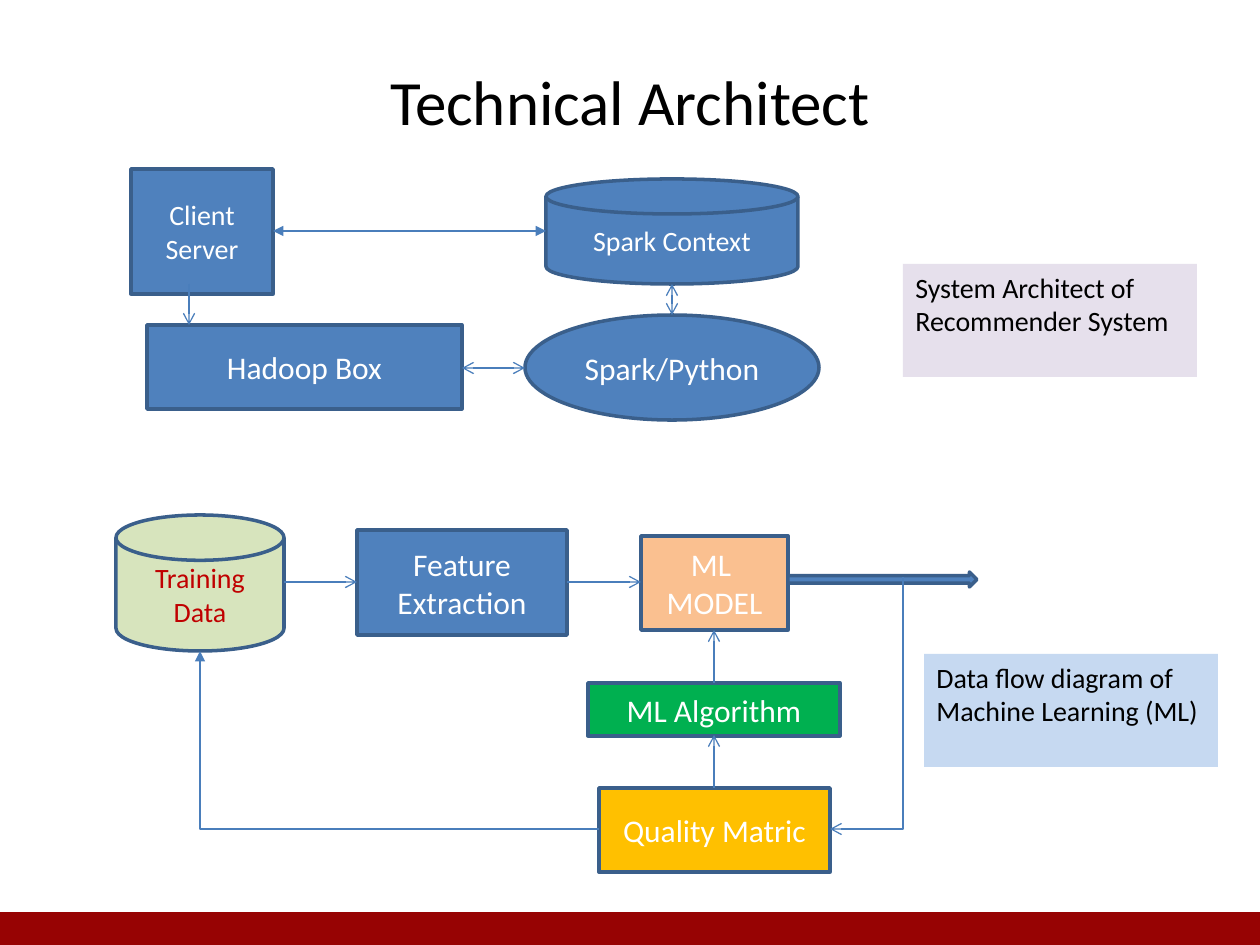
from dataclasses import dataclass

from pptx import Presentation
from pptx.dml.color import RGBColor
from pptx.enum.shapes import MSO_CONNECTOR, MSO_SHAPE
from pptx.enum.text import MSO_ANCHOR, PP_ALIGN
from pptx.oxml.ns import qn
from pptx.oxml.xmlchemy import OxmlElement
from pptx.util import Emu, Pt

WHITE = RGBColor(0xFF, 0xFF, 0xFF)
BLACK = RGBColor(0x00, 0x00, 0x00)
RED = RGBColor(0xC0, 0x00, 0x00)
MAROON = RGBColor(0x97, 0x03, 0x03)
BLUE = RGBColor(0x4F, 0x81, 0xBD)
NAVY = RGBColor(0x3A, 0x5F, 0x8B)
LINK_BLUE = RGBColor(0x4A, 0x7E, 0xBB)
LILAC = RGBColor(0xE6, 0xE0, 0xEC)
SKY = RGBColor(0xC6, 0xD9, 0xF1)
LIME = RGBColor(0xD7, 0xE4, 0xBD)
PEACH = RGBColor(0xFA, 0xC0, 0x90)
GREEN = RGBColor(0x00, 0xB0, 0x50)
AMBER = RGBColor(0xFF, 0xC0, 0x00)

FONT = "Calibri"
EMU_PER_PIXEL = 914400 / 126
DISK = MSO_SHAPE.FLOWCHART_MAGNETIC_DISK


@dataclass(frozen=True)
class Node:
    left: int
    top: int
    width: int
    height: int
    text: str = ""
    size: int = 18
    kind: MSO_SHAPE = MSO_SHAPE.RECTANGLE
    fill: RGBColor = BLUE
    border: RGBColor | None = NAVY
    color: RGBColor = WHITE
    align: PP_ALIGN = PP_ALIGN.CENTER
    anchor: MSO_ANCHOR = MSO_ANCHOR.MIDDLE


@dataclass(frozen=True)
class Link:
    start: tuple[int, int]
    end: tuple[int, int]
    head: str | None = None
    tail: str = "arrow"
    bend_angle: int | None = None


def note(left: int, top: int, text: str, fill: RGBColor) -> Node:
    return Node(left, top, 294, 113, text, 16, fill=fill, border=None,
                color=BLACK, align=PP_ALIGN.LEFT, anchor=MSO_ANCHOR.TOP)


NODES = [
    Node(0, 914, 1260, 31, fill=MAROON, border=MAROON),
    Node(131, 169, 142, 125, "Client Server", 16),
    Node(147, 325, 315, 84, "Hadoop Box"),
    Node(525, 315, 294, 105, "Spark/Python", kind=MSO_SHAPE.OVAL),
    Node(546, 179, 252, 105, "Spark Context", 16, DISK),
    note(903, 264, "System Architect of Recommender System", LILAC),
    Node(116, 515, 168, 136, "Training\nData", 16, DISK, LIME, color=RED),
    Node(357, 530, 210, 105, "Feature\nExtraction"),
    Node(641, 536, 147, 94, "ML \nMODEL", fill=PEACH),
    Node(588, 683, 252, 53, "ML Algorithm", fill=GREEN),
    Node(599, 788, 231, 84, "Quality Matric", fill=AMBER),
    Node(788, 572, 189, 15, kind=MSO_SHAPE.RIGHT_ARROW),
    note(924, 654, "Data flow diagram of Machine Learning (ML)", SKY),
]

LINKS = [
    Link((189, 284), (189, 325)),
    Link((462, 368), (525, 368), head="arrow"),
    Link((672, 284), (672, 315), head="arrow"),
    Link((284, 582), (357, 582)),
    Link((567, 582), (641, 582)),
    Link((714, 683), (714, 630)),
    Link((714, 788), (714, 735)),
    Link((903, 577), (830, 829), bend_angle=90),
    Link((599, 829), (200, 651), tail="triangle", bend_angle=180),
    Link((273, 231), (546, 231), head="triangle", tail="triangle"),
]


def px(value: float) -> Emu:
    return Emu(round(value * EMU_PER_PIXEL))


def write_text(frame, text: str, *, size: int, color: RGBColor,
               align: PP_ALIGN, anchor: MSO_ANCHOR) -> None:
    frame.word_wrap = True
    frame.vertical_anchor = anchor
    frame.text = text
    for para in frame.paragraphs:
        para.alignment = align
        for span in para.runs:
            span.font.name = FONT
            span.font.size = Pt(size)
            span.font.color.rgb = color


def draw_node(page, node: Node) -> None:
    box = page.shapes.add_shape(node.kind, px(node.left), px(node.top),
                                px(node.width), px(node.height))
    box.shadow.inherit = False
    box.fill.solid()
    box.fill.fore_color.rgb = node.fill
    if node.border is None:
        box.line.fill.background()
    else:
        box.line.color.rgb = node.border
        box.line.width = Pt(2)
    if node.text:
        write_text(box.text_frame, node.text, size=node.size, color=node.color,
                   align=node.align, anchor=node.anchor)


def bend(connector, link: Link) -> None:
    (start_x, start_y), (end_x, end_y) = link.start, link.end
    width, height = abs(end_x - start_x), abs(end_y - start_y)
    if link.bend_angle % 180:
        width, height = height, width
    properties = connector._element.spPr
    properties.find(qn("a:prstGeom")).set("prst", "bentConnector2")
    frame = properties.find(qn("a:xfrm"))
    for flip in ("flipH", "flipV"):
        frame.attrib.pop(flip, None)
    connector.left = px((start_x + end_x - width) / 2)
    connector.top = px((start_y + end_y - height) / 2)
    connector.width, connector.height = px(width), px(height)
    frame.set("rot", str(link.bend_angle * 60000))


def draw_link(page, link: Link) -> None:
    bent = link.bend_angle is not None
    kind = MSO_CONNECTOR.ELBOW if bent else MSO_CONNECTOR.STRAIGHT
    connector = page.shapes.add_connector(kind, *map(px, link.start + link.end))
    if bent:
        bend(connector, link)
    connector.line.color.rgb = LINK_BLUE
    connector.line.width = Pt(0.75)
    properties = connector._element.spPr
    outline = properties.find(qn("a:ln"))
    for tag, arrow in (("a:headEnd", link.head), ("a:tailEnd", link.tail)):
        if arrow:
            tip = OxmlElement(tag)
            tip.set("type", arrow)
            outline.append(tip)
    properties.append(OxmlElement("a:effectLst"))


def main() -> None:
    deck = Presentation()
    deck.slide_width, deck.slide_height = px(1260), px(945)
    page = deck.slides.add_slide(deck.slide_layouts[6])
    title = page.shapes.add_textbox(px(63), px(21), px(1134), px(158))
    write_text(title.text_frame, "Technical Architect", size=36, color=BLACK,
               align=PP_ALIGN.CENTER, anchor=MSO_ANCHOR.MIDDLE)
    for node in NODES:
        draw_node(page, node)
    for link in LINKS:
        draw_link(page, link)
    deck.save("out.pptx")


main()
